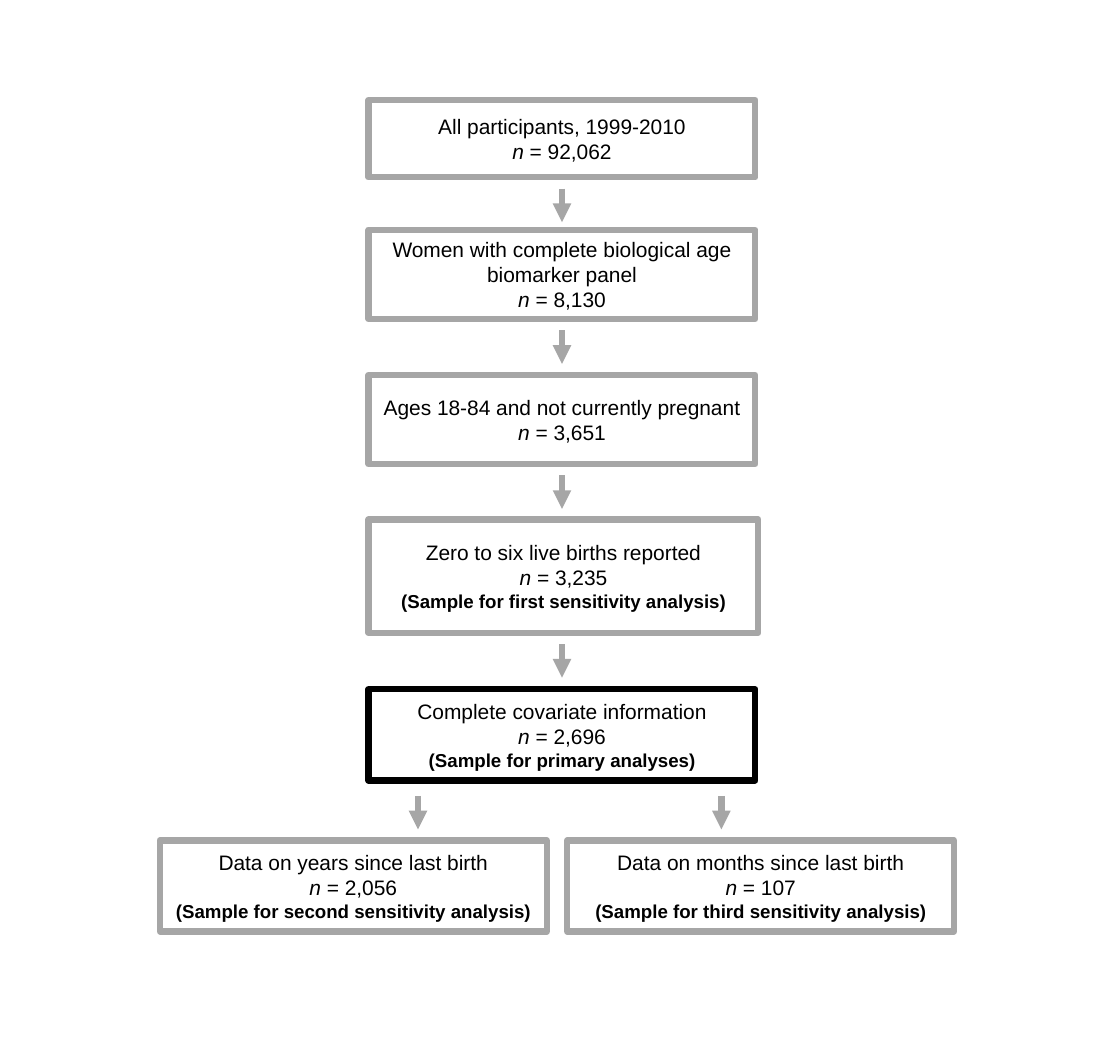
from lxml import etree
from pptx import Presentation
from pptx.dml.color import RGBColor
from pptx.enum.shapes import MSO_CONNECTOR, MSO_SHAPE
from pptx.enum.text import MSO_ANCHOR, PP_ALIGN
from pptx.oxml.ns import qn
from pptx.util import Cm, Pt

RECTANGLE = MSO_SHAPE.RECTANGLE
STRAIGHT = MSO_CONNECTOR.STRAIGHT
MIDDLE = MSO_ANCHOR.MIDDLE
CENTER = PP_ALIGN.CENTER

GRAY = RGBColor(0xA6, 0xA6, 0xA6)
BLACK = RGBColor(0x00, 0x00, 0x00)

FONT = "Arial"
TEXT_SIZE = 10.1
SAMPLE_SIZE = 9
LINE_WIDTH = 3
BOX_WIDTH = 6.58
ARROW_GAP = 0.19
ARROW_LENGTH = 0.57

MAIN_LEFT = 6.27
MAIN_STEPS = [
    (1.7, BOX_WIDTH, 1.32, GRAY, "All participants, 1999-2010", "92,062", None),
    (3.91, BOX_WIDTH, 1.52, GRAY, "Women with complete biological age biomarker panel", "8,130", None),
    (6.38, BOX_WIDTH, 1.52, GRAY, "Ages 18-84 and not currently pregnant", "3,651", None),
    (8.84, 6.63, 1.93, GRAY, "Zero to six live births reported", "3,235",
     "(Sample for first sensitivity analysis)"),
    (11.73, BOX_WIDTH, 1.55, BLACK, "Complete covariate information", "2,696",
     "(Sample for primary analyses)"),
]

BRANCH_TOP = 14.3
BRANCH_HEIGHT = 1.55
BRANCHES = [
    (2.72, 7.11, "Data on years since last birth", "2,056",
     "(Sample for second sensitivity analysis)"),
    (9.65, 12.27, "Data on months since last birth", "107",
     "(Sample for third sensitivity analysis)"),
]


def add_run(paragraph, text, size=TEXT_SIZE, bold=False, italic=False):
    run = paragraph.add_run()
    run.text = text
    run.font.name = FONT
    run.font.size = Pt(size)
    run.font.bold = bold
    run.font.italic = italic
    run.font.color.rgb = BLACK


def add_step(slide, left, top, width, height, color, label, count, sample):
    shape = slide.shapes.add_shape(RECTANGLE, Cm(left), Cm(top), Cm(width), Cm(height))
    shape.shadow.inherit = False
    shape.fill.background()
    shape.line.color.rgb = color
    shape.line.width = Pt(LINE_WIDTH)
    frame = shape.text_frame
    frame.word_wrap = True
    frame.vertical_anchor = MIDDLE
    add_run(frame.paragraphs[0], label)
    count_paragraph = frame.add_paragraph()
    add_run(count_paragraph, "n", italic=True)
    add_run(count_paragraph, f" = {count}")
    if sample:
        add_run(frame.add_paragraph(), sample, SAMPLE_SIZE, bold=True)
    for paragraph in frame.paragraphs:
        paragraph.alignment = CENTER


def add_arrow(slide, center, top):
    connector = slide.shapes.add_connector(
        STRAIGHT, Cm(center), Cm(top), Cm(center), Cm(top + ARROW_LENGTH))
    connector.line.color.rgb = GRAY
    connector.line.width = Pt(LINE_WIDTH)
    etree.SubElement(connector.line._get_or_add_ln(), qn("a:tailEnd"), type="triangle")
    etree.SubElement(connector._element.spPr, qn("a:effectLst"))


def add_main_column(slide, left):
    for index, (top, width, height, *content) in enumerate(MAIN_STEPS):
        add_step(slide, left, top, width, height, *content)
        if index < len(MAIN_STEPS) - 1:
            add_arrow(slide, left + BOX_WIDTH / 2, top + height + ARROW_GAP)


def add_branches(slide, top):
    for left, arrow_center, *content in BRANCHES:
        add_arrow(slide, arrow_center, top - ARROW_GAP - ARROW_LENGTH)
        add_step(slide, left, top, BOX_WIDTH, BRANCH_HEIGHT, GRAY, *content)


def main():
    presentation = Presentation()
    presentation.slide_width = Cm(19.05)
    presentation.slide_height = Cm(17.78)
    slide = presentation.slides.add_slide(presentation.slide_layouts[6])
    add_main_column(slide, MAIN_LEFT)
    add_branches(slide, BRANCH_TOP)
    presentation.save("out.pptx")


if __name__ == "__main__":
    main()
